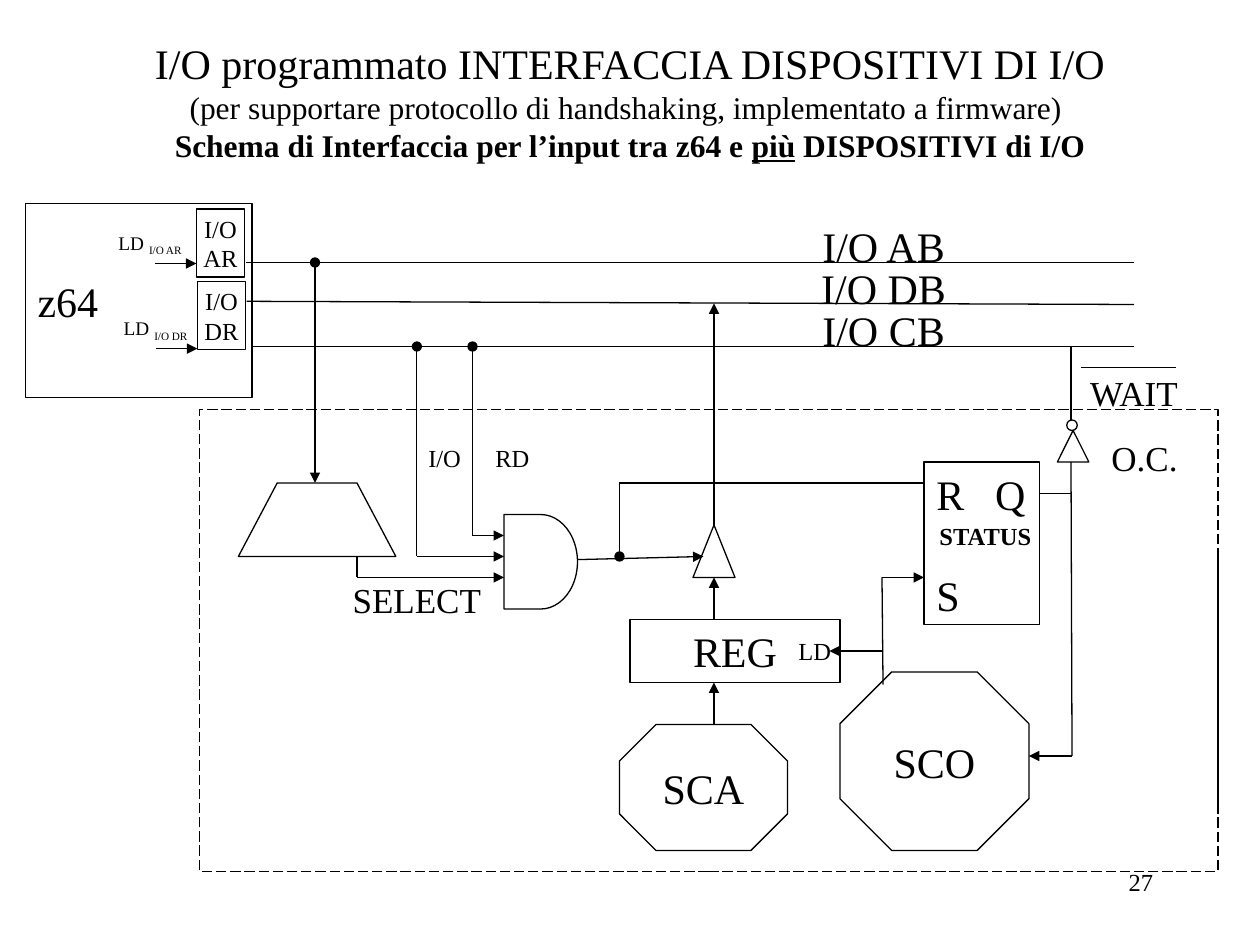
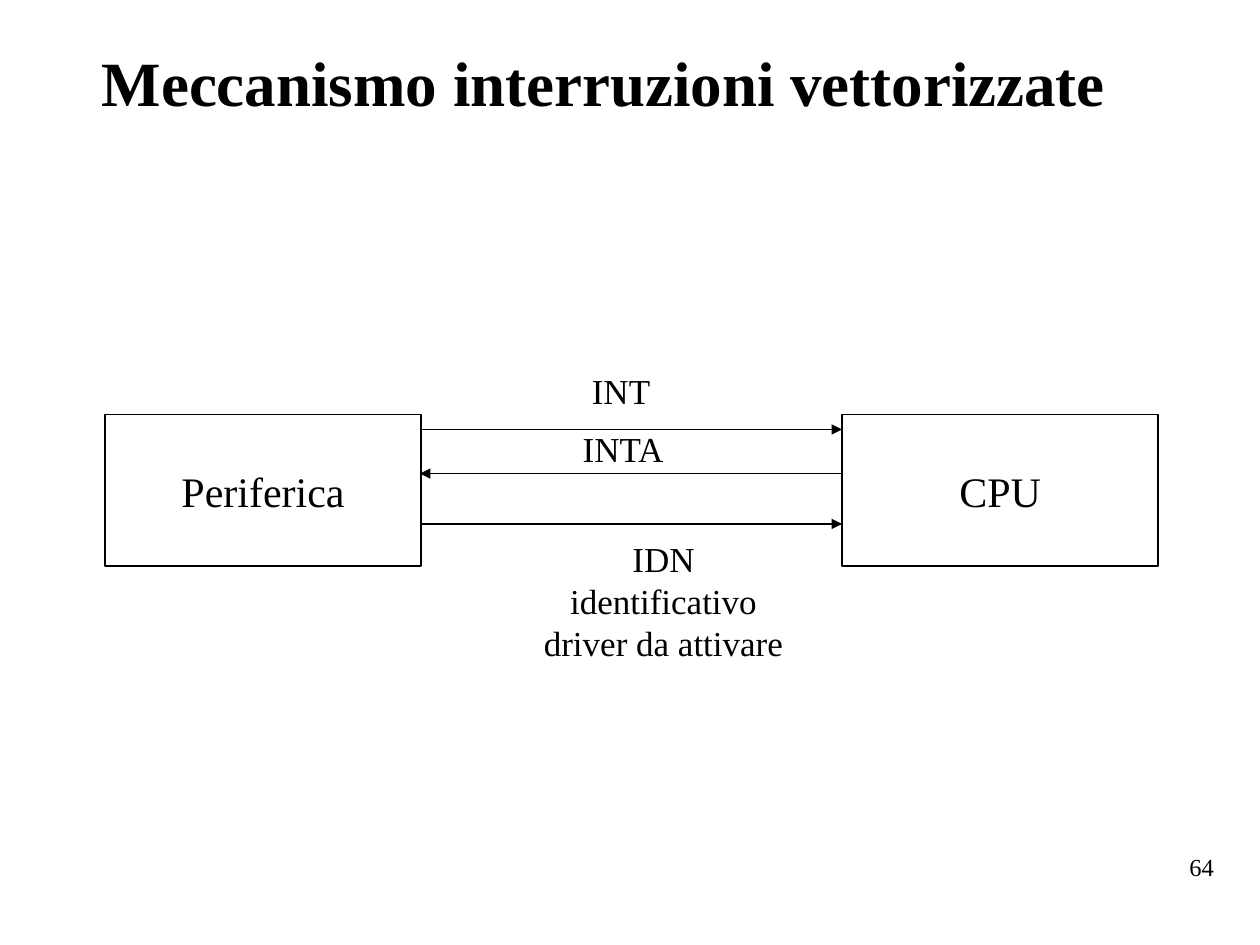
from dataclasses import dataclass
from lxml import etree
from pptx import Presentation, util as u
from pptx.dml.color import RGBColor
from pptx.enum import dml, shapes, text
from pptx.oxml.ns import qn

COLS, ROWS = 120, 90
CELL = u.Inches(10) / COLS
FONT, INK = "Times New Roman", "000000"
KIND = shapes.MSO_SHAPE
LEFT, MID, RIGHT = text.PP_ALIGN.LEFT, text.PP_ALIGN.CENTER, text.PP_ALIGN.RIGHT


@dataclass(frozen=True)
class Run:
    words: str
    size: float = 24
    bold: bool = False
    under: bool = False
    sub: bool = False


@dataclass(frozen=True)
class Para:
    runs: tuple[Run, ...]
    before: float = 0
    tab: float = 0


@dataclass(frozen=True)
class Box:
    """Text and frame on the grid; without a kind it is a plain text box."""
    x: float
    y: float
    w: float
    h: float
    paras: tuple[Para, ...] = ()
    kind: KIND | None = None
    align: text.PP_ALIGN = MID
    middle: bool = False
    dash: bool = False


@dataclass(frozen=True)
class Wire:
    """A run of straight segments; head and tail mark its two ends."""
    points: tuple[tuple[float, float], ...]
    head: str = ""
    tail: str = ""


def cells(*counts: float) -> list[int]:
    return [round(n * CELL) for n in counts]


def color(code: str) -> RGBColor:
    return RGBColor.from_string(code)


def lines(*words: str, size: float = 24, bold: bool = False) -> tuple[Para, ...]:
    return tuple(Para((Run(w, size, bold),)) for w in words)


def outline(shape) -> None:
    shape.line.color.rgb = color(INK)
    shape.line.width = u.Pt(0.75)


def hollow(shape) -> None:
    shape.shadow.inherit = False
    shape.fill.background()
    outline(shape)


def write(shape, box: Box) -> None:
    frame = shape.text_frame
    frame.word_wrap = True
    frame.margin_left = 0 if box.align == MID else u.Inches(0.1)
    frame.margin_right = u.Inches(0.1) if box.align == RIGHT else 0
    frame.margin_top = frame.margin_bottom = u.Inches(0.05)
    frame.vertical_anchor = text.MSO_ANCHOR.MIDDLE if box.middle else text.MSO_ANCHOR.TOP
    for i, para in enumerate(box.paras):
        line = frame.add_paragraph() if i else frame.paragraphs[0]
        line.alignment = box.align
        if para.before:
            line.space_before = u.Pt(para.before)
        if para.tab:
            stops = etree.SubElement(line._p.get_or_add_pPr(), qn("a:tabLst"))
            etree.SubElement(stops, qn("a:tab"), pos=str(cells(para.tab)[0]), algn="l")
        for part in para.runs:
            run = line.add_run()
            run.text = part.words
            font = run.font
            font.name, font.size = FONT, u.Pt(part.size)
            font.bold, font.underline = part.bold, part.under
            font.color.rgb = color(INK)
            if part.sub:
                run._r.get_or_add_rPr().set("baseline", "-25000")


def draw(slide, box: Box) -> None:
    place = cells(box.x, box.y, box.w, box.h)
    if box.kind is None:
        shape = slide.shapes.add_textbox(*place)
    else:
        shape = slide.shapes.add_shape(box.kind, *place)
        hollow(shape)
        if box.kind == KIND.OCTAGON:
            shape.adjustments[0] = 0.29
        if box.dash:
            shape.line.dash_style = dml.MSO_LINE.LONG_DASH
    if box.paras:
        write(shape, box)


def link(slide, wire: Wire) -> None:
    last = len(wire.points) - 2
    for i, (start, end) in enumerate(zip(wire.points, wire.points[1:])):
        line = slide.shapes.add_connector(shapes.MSO_CONNECTOR.STRAIGHT, *cells(*start, *end))
        outline(line)
        ln = line.line._get_or_add_ln()
        if wire.head and i == 0:
            etree.SubElement(ln, qn("a:headEnd"), type=wire.head)
        if wire.tail and i == last:
            etree.SubElement(ln, qn("a:tailEnd"), type=wire.tail)
        etree.SubElement(line._element.spPr, qn("a:effectLst"))


def trace(slide, points: list[tuple[float, float]]) -> None:
    first, *rest = [cells(*p) for p in points]
    path = slide.shapes.build_freeform(*first)
    path.add_line_segments(rest, close=True)
    hollow(path.convert_to_shape())


def fill(slide, boxes: list[Box], wires: list[Wire]) -> None:
    for box in boxes:
        draw(slide, box)
    for wire in wires:
        link(slide, wire)


def page(x: float, y: float, number: str) -> Box:
    return Box(x, y, 25, 6, lines(number, size=14), align=RIGHT)


def bus(slide) -> None:
    """Processor with its two registers and the three bus lines."""
    draw(slide, Box(2.4, 19.4, 21.6, 18.5, lines("z64"), KIND.RECTANGLE, LEFT, True))
    for name, x, y, pin, tag in (("AR", 18.7, 19.9, 25.1, (10.1, 21.4)),
                                 ("DR", 18.8, 26.8, 33.2, (10.6, 29.5))):
        load = Para((Run("LD ", 11), Run(f"I/O {name}", 11, sub=True)))
        draw(slide, Box(x, y, 4.6, 6.5, lines("I/O", name, size=14), KIND.RECTANGLE, middle=True))
        draw(slide, Box(*tag, 11, 3.7, (load,), align=LEFT))
        link(slide, Wire(((x - 3.9, pin), (x, pin)), tail="triangle"))
    for i, (name, x, y, end) in enumerate((("AB", 23.4, 25, 25), ("DB", 23.5, 28.7, 29),
                                           ("CB", 24, 33, 33))):
        link(slide, Wire(((x, y), (108, end))))
        draw(slide, Box(77, 20.4 + 4.02 * i, 14.3, 6, lines(f"I/O {name}")))


def scheme(slide) -> None:
    """Input interface between the processor and several devices."""
    title = (*lines("I/O programmato INTERFACCIA DISPOSITIVI DI I/O"),
             *lines("(per supportare protocollo di handshaking, implementato a firmware) ", size=18),
             Para((Run("Schema di Interfaccia per l’input tra z64 e ", 18, True),
                   Run("più", 18, True, True), Run(" DISPOSITIVI di I/O", 18, True))))
    latch = (Para((Run("R\tQ"),), tab=5.6), Para((Run("S"),), before=29))
    bus(slide)
    trace(slide, [(22.7, 53), (26.4, 46), (34, 46), (37.7, 53)])
    fill(slide, [
        Box(0, 3, COLS, 16.8, title),
        page(86, 82, "27"),
        Box(19, 39, 97, 44, kind=KIND.RECTANGLE, dash=True),
        Box(48, 49, 7, 9, kind=KIND.FLOWCHART_DELAY),
        Box(60, 59, 20, 6, lines("REG"), KIND.RECTANGLE),
        Box(88, 44, 11, 15.5, latch, KIND.RECTANGLE, LEFT),
        Box(80, 64, 18, 17, lines("SCO"), KIND.OCTAGON, middle=True),
        Box(59, 69, 16, 12, lines("SCA"), KIND.OCTAGON, middle=True),
        Box(66, 50, 4, 5, kind=KIND.ISOSCELES_TRIANGLE),
        Box(100.7, 41, 3, 3, kind=KIND.ISOSCELES_TRIANGLE),
        Box(101.6, 40, 1, 1, kind=KIND.OVAL),
        Box(32.4, 54.5, 17, 5.3, lines("SELECT", size=20), align=LEFT),
        Box(71, 60, 13.2, 4, lines("LD", size=14)),
        Box(86, 49, 15.7, 4, lines("STATUS", size=14, bold=True)),
        Box(104, 41, 10, 5.3, lines("O.C.", size=20)),
        Box(102, 34.8, 12, 5.3, lines("WAIT", size=20)),
        Box(39.6, 41.6, 5.5, 4, lines("I/O", size=14)),
        Box(46, 41.6, 5.6, 4, lines("RD", size=14)),
    ], [
        Wire(((30, 25), (30, 46)), "oval", "triangle"),
        Wire(((45, 33), (45, 51), (48, 51)), "oval", "triangle"),
        Wire(((39.7, 33), (39.7, 53), (48, 53)), "oval", "triangle"),
        Wire(((34, 53), (34, 55), (48, 55)), tail="triangle"),
        Wire(((55, 53.3), (67, 53)), tail="triangle"),
        Wire(((59, 53), (59, 46), (88, 46)), "oval"),
        Wire(((68, 69), (68, 65)), tail="triangle"),
        Wire(((68, 59), (68, 55)), tail="triangle"),
        Wire(((68, 50), (68, 28.9)), tail="triangle"),
        Wire(((84.1, 65.2), (84, 55), (88, 55)), tail="triangle"),
        Wire(((84, 62), (79, 62)), tail="triangle"),
        Wire(((99, 47), (102, 47))),
        Wire(((102, 44), (102.1, 72), (98, 72)), tail="triangle"),
        Wire(((102, 40), (102, 33))),
        Wire(((103, 35), (112, 35))),
        Wire(((116, 52.4), (116, 77.5))),
    ])


def vector(slide) -> None:
    """Signals between the device and the processor."""
    near, far = 40, 80.2
    fill(slide, [
        Box(6.5, 0.2, 102, 15, lines("Meccanismo interruzioni vettorizzate", size=36, bold=True),
            middle=True),
        page(91.8, 80.6, "64"),
        *(Box(x, 39.5, 30.1, 14.4, lines(name), KIND.RECTANGLE, middle=True)
          for x, name in ((10, "Periferica"), (far, "CPU"))),
        Box(55.2, 34.6, 7.9, 5.3, lines("INT", size=20)),
        Box(54.2, 40.1, 10.3, 5.3, lines("INTA", size=20)),
        Box(50.6, 50.6, 25.2, 13.2,
            lines("IDN", "identificativo", "driver da attivare", size=20)),
    ], [Wire(((a, y), (b, y)), tail="triangle")
        for a, b, y in ((near, far, 40.9), (far, near, 45.1), (near, far, 49.9))])


def main() -> None:
    deck = Presentation()
    deck.slide_width, deck.slide_height = cells(COLS, ROWS)
    for build in (scheme, vector):
        build(deck.slides.add_slide(deck.slide_layouts[6]))
    deck.save("out.pptx")


if __name__ == "__main__":
    main()
